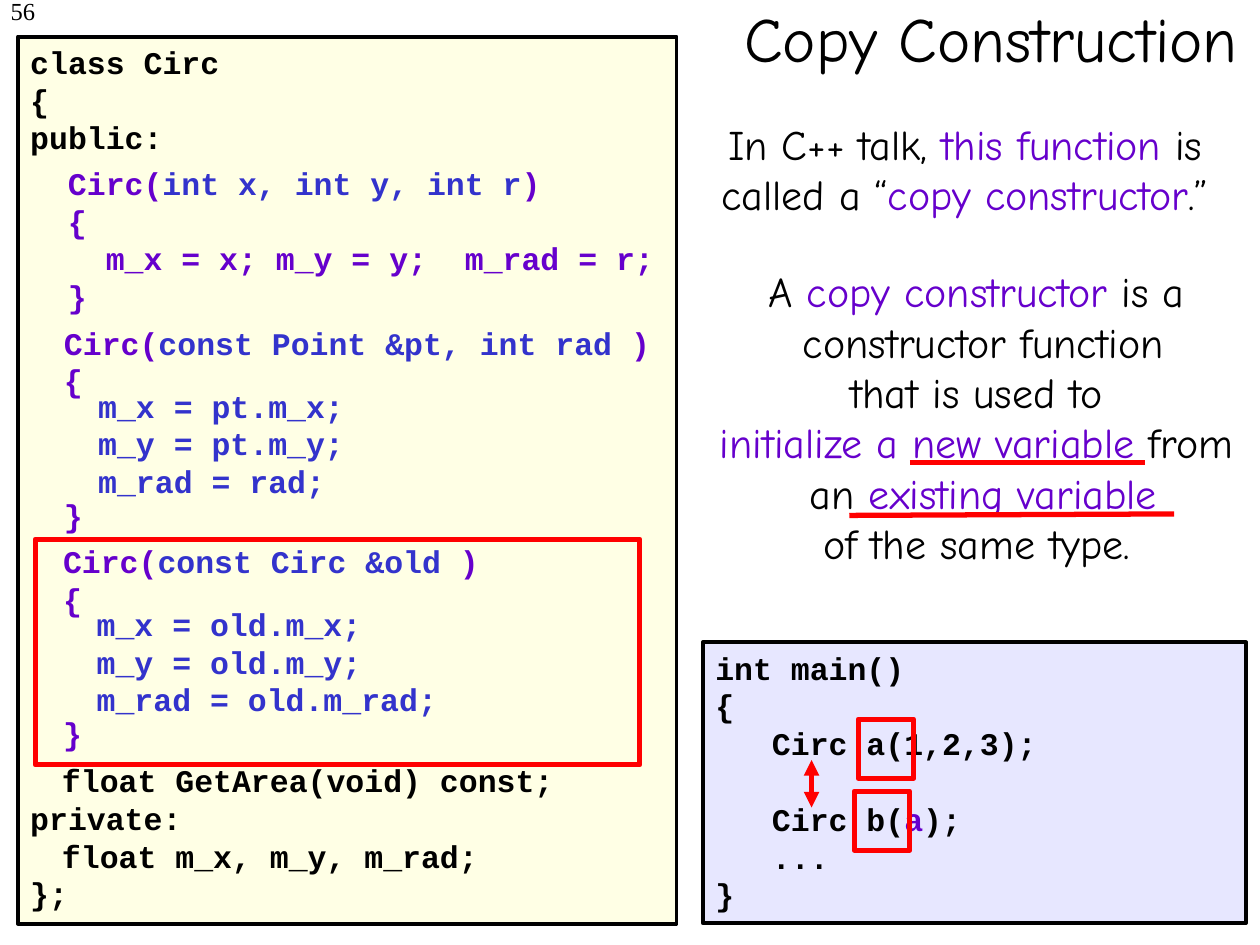
from lxml import etree
from pptx import Presentation
from pptx import util as u
from pptx.dml.color import RGBColor
from pptx.enum import shapes, text
from pptx.oxml import ns

Cm, Pt = u.Cm, u.Pt
COL = {
    "ink": "000000", "key": "6600CC", "arg": "3333CC", "mark": "FF0000",
    "class": "FFFFE5", "main": "E7E7FF",
}
MONO, HAND, SERIF = "Courier New", "Comic Neue", "Times New Roman"
LEAD = 1.2  # line pitch as a multiple of the font size
ROW = 18 * LEAD  # height of one line of code, in points


def rgb(name):
    return RGBColor.from_string(COL[name])


def add_tab(para):
    """Put one left tab stop at a quarter inch."""
    tabs = etree.SubElement(para._p.get_or_add_pPr(), ns.qn("a:tabLst"))
    etree.SubElement(tabs, ns.qn("a:tab"), pos=str(Cm(0.64)), algn="l")


def write(shape, lines, font=MONO, size=18, col="ink", align="LEFT", gaps=None):
    """Fill a shape; a line is a string or a list of (text, colour) runs.

    gaps maps a line's index to the space before it, in points.
    """
    frame = shape.text_frame
    frame.word_wrap = True
    frame.vertical_anchor = text.MSO_ANCHOR.TOP
    if font == MONO:
        frame.margin_right = 0
    for i, line in enumerate(lines):
        para = frame.paragraphs[0] if i == 0 else frame.add_paragraph()
        para.alignment = text.PP_ALIGN[align]
        para.line_spacing = Pt(size * LEAD)
        if gaps and i in gaps:
            para.space_before = Pt(gaps[i])
        runs = [(line, col)] if isinstance(line, str) else line
        if runs[0][0].startswith("\t"):
            add_tab(para)
        para.font.name, para.font.size = font, Pt(size)
        para.font.bold = font == MONO
        for words, tint in runs:
            run = para.add_run()
            run.text = words
            run.font.color.rgb = rgb(tint)


def add_text(slide, box, lines, **style):
    shape = slide.shapes.add_textbox(*map(Cm, box))
    write(shape, lines, **style)
    return shape


def add_rect(slide, box, line, width, fill=None):
    shape = slide.shapes.add_shape(shapes.MSO_SHAPE.RECTANGLE, *map(Cm, box))
    shape.shadow.inherit = False
    if fill:
        shape.fill.solid()
        shape.fill.fore_color.rgb = rgb(fill)
    else:
        shape.fill.background()
    shape.line.color.rgb = rgb(line)
    shape.line.width = Pt(width)
    return shape


def add_line(slide, ends, arrow=False):
    line = slide.shapes.add_connector(shapes.MSO_CONNECTOR.STRAIGHT, *map(Cm, ends))
    line.line.color.rgb = rgb("mark")
    line.line.width = Pt(3)
    if arrow:
        for tag in ("a:headEnd", "a:tailEnd"):
            etree.SubElement(line.line._get_or_add_ln(), ns.qn(tag), type="triangle")
    etree.SubElement(line._element.spPr, ns.qn("a:effectLst"))


def add_ctor(slide, left, top, args, body, inset):
    """A constructor: its signature and braces, and its body between them."""
    sign = [(" Circ(", "key"), (args, "arg"), (" )", "key")]
    add_text(slide, (left, top, 12.7, 4.5), [sign, " {", " }"],
             col="key", gaps={2: 2 * ROW + 12})
    add_text(slide, (left + inset, top + 1.27, 8.97, 2.54), body, col="arg")


def main():
    prs = Presentation()
    prs.slide_width, prs.slide_height = Cm(25.4), Cm(19.05)
    slide = prs.slides.add_slide(prs.slide_layouts[6])

    # Page number and title
    add_text(slide, (-4.32, -0.2, 5.28, 1.27), ["56"],
             font=SERIF, size=14, align="RIGHT")
    title = add_text(slide, (13.28, -0.84, 13.39, 3.18), ["Copy Construction"],
                     font=HAND, size=36, align="CENTER")
    title.text_frame.vertical_anchor = text.MSO_ANCHOR.MIDDLE

    # Main program
    panel = add_rect(slide, (14.17, 12.95, 10.95, 5.66), "ink", 2.25, "main")
    write(panel, [
        "int main()", "{", "   Circ a(1,2,3);",
        [("   Circ b(", "ink"), ("a", "key"), (");", "ink")],
        "   ...", "}",
    ], gaps={3: ROW})

    # Class, with room for its three constructors
    panel = add_rect(slide, (0.36, 0.74, 13.28, 17.88), "ink", 2.25, "class")
    write(panel, [
        "class Circ", "{", "public:", "\tfloat GetArea(void) const;",
        "private:", "\tfloat m_x, m_y, m_rad;", "};",
    ], gaps={3: 16 * ROW})

    # Constructors
    add_text(slide, (0.74, 3.18, 12.7, 3.3), [
        [(" Circ(", "key"), ("int x, int y, int r", "arg"), (")", "key")],
        " {", "   m_x = x; m_y = y;  m_rad = r;", " }",
    ], col="key")
    add_ctor(slide, 0.64, 10.8, "const Circ &old",
             ["m_x = old.m_x;", "m_y = old.m_y;", "m_rad = old.m_rad;"], 1.06)
    add_ctor(slide, 0.66, 6.4, "const Point &pt, int rad",
             ["m_x = pt.m_x;", "m_y = pt.m_y;", "m_rad = rad;"], 1.07)

    # Explanation
    prose = dict(font=HAND, size=24, align="CENTER")
    add_text(slide, (13.46, 2.26, 11.99, 2.29), [[
        ("In C++ talk, ", "ink"), ("this function", "key"),
        (" is called a “", "ink"), ("copy constructor", "key"), (".”", "ink"),
    ]], **prose)
    add_text(slide, (13.69, 5.23, 11.99, 6.35), [
        [("A ", "ink"), ("copy constructor", "key"), (" is a", "ink")],
        " constructor function",
        "that is used to",
        [("initialize a new variable ", "key"), ("from", "ink")],
        [(" an ", "ink"), ("existing variable", "key")],
        "of the same type.",
    ], **prose)

    # Red marks: frames, underlines and the arrow between the two variables
    for box in ((0.71, 10.87, 12.19, 4.55), (17.22, 15.95, 1.12, 1.19),
                (17.3, 14.5, 1.12, 1.19)):
        add_rect(slide, box, "mark", 3)
    add_line(slide, (18.34, 9.32, 23.09, 9.32))
    add_line(slide, (17.12, 10.39, 23.67, 10.36))
    add_line(slide, (16.36, 15.32, 16.36, 16.28), arrow=True)

    prs.save("out.pptx")


if __name__ == "__main__":
    main()
